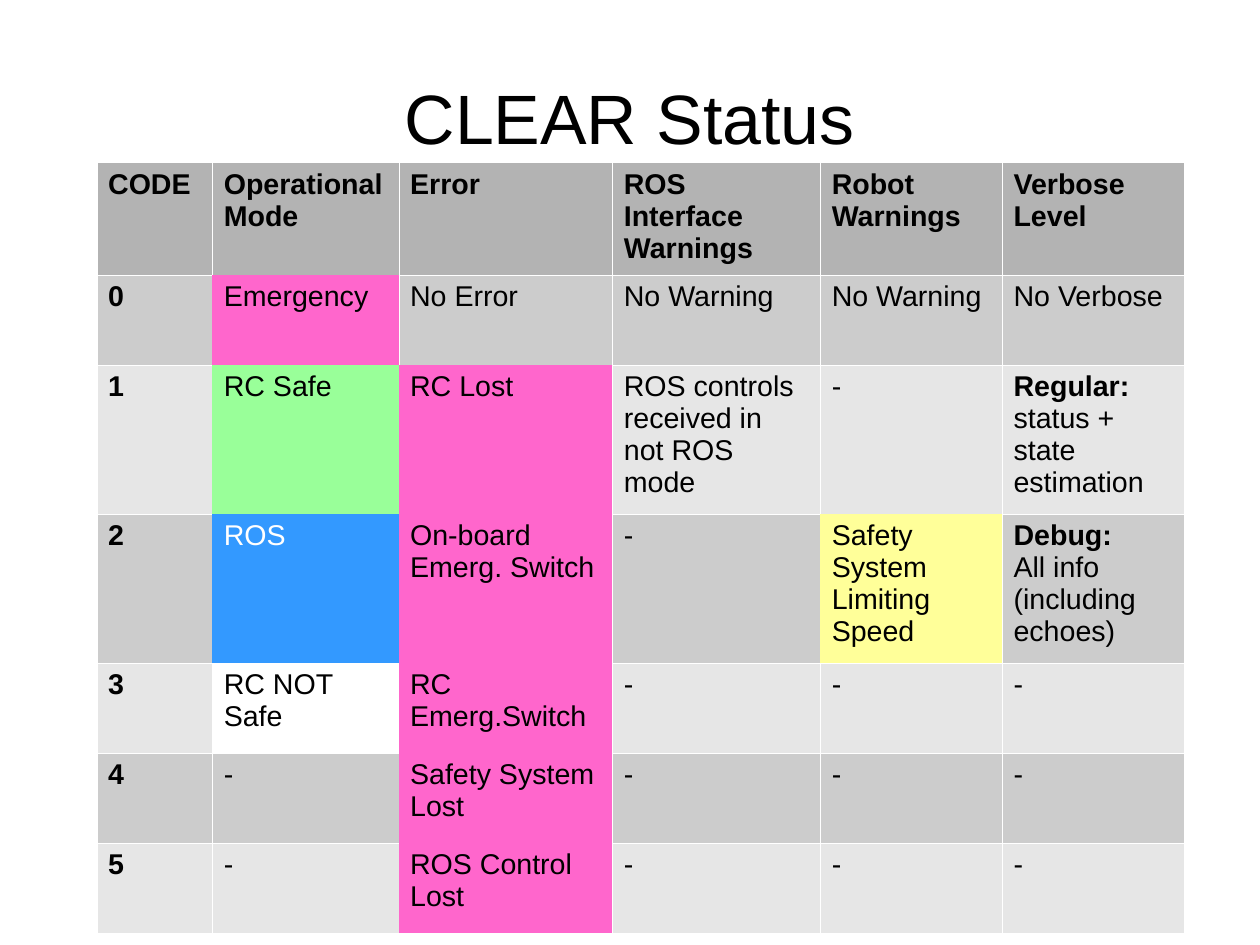
"""Build the CLEAR Status slide with its table of status codes."""
from dataclasses import dataclass
from typing import Optional

from lxml.etree import SubElement
from pptx import Presentation
from pptx.dml.color import RGBColor as Rgb
from pptx.enum.text import MSO_ANCHOR as Anchor, MSO_AUTO_SIZE as AutoSize, PP_ALIGN as Align
from pptx.oxml.ns import qn
from pptx.util import Cm, Pt


@dataclass(frozen=True)
class Theme:
    font: str = "Arial"
    title_size: int = 44
    table_size: int = 18
    ink: str = "000000"
    white: str = "FFFFFF"
    header: str = "B3B3B3"
    bands: tuple[str, str] = ("E6E6E6", "CCCCCC")
    alarm: str = "FF66CC"
    safe: str = "99FF99"
    ros: str = "3399FF"
    caution: str = "FFFF99"
    border_width: float = 0.06


@dataclass(frozen=True)
class Span:
    text: str
    bold: bool = False


@dataclass(frozen=True)
class Entry:
    paragraphs: tuple[tuple[Span, ...], ...]
    tint: Optional[str] = None
    ink: str = Theme.ink


def entry(text: str, tint: Optional[str] = None, ink: str = Theme.ink, bold: bool = False) -> Entry:
    return Entry(((Span(text, bold),),), tint, ink)


THEME = Theme()
NONE = entry("-")
HEADINGS = ("CODE", "Operational Mode", "Error", "ROS Interface Warnings", "Robot Warnings", "Verbose Level")
REGULAR = Entry(((Span("Regular:", True), Span(" status + state estimation")),))
DEBUG = Entry(((Span("Debug:", True),), (Span("All info (including echoes)"),)))
STATUSES = (
    (entry("Emergency", THEME.alarm), entry("No Error"), entry("No Warning"),
     entry("No Warning"), entry("No Verbose")),
    (entry("RC Safe", THEME.safe), entry("RC Lost", THEME.alarm),
     entry("ROS controls received in not ROS mode"), NONE, REGULAR),
    (entry("ROS", THEME.ros, THEME.white), entry("On-board Emerg. Switch", THEME.alarm), NONE,
     entry("Safety System Limiting Speed", THEME.caution), DEBUG),
    (entry("RC NOT Safe", THEME.white), entry("RC Emerg.Switch", THEME.alarm), NONE, NONE, NONE),
    (NONE, entry("Safety System Lost", THEME.alarm), NONE, NONE, NONE),
    (NONE, entry("ROS Control Lost", THEME.alarm), NONE, NONE, NONE),
)
COLUMN_WIDTHS = (2.57, 4.14, 4.75, 4.62, 4.04, 4.04)
ROW_HEIGHTS = (2.51, 2, 3.31, 3.31, 2, 2, 2)


def add_run(paragraph, span: Span, size: int, ink: str) -> None:
    run = paragraph.add_run()
    run.text = span.text
    run.font.name = THEME.font
    run.font.size = Pt(size)
    run.font.bold = span.bold
    run.font.color.rgb = Rgb.from_string(ink)


def set_borders(cell, visible: bool) -> None:
    properties = cell._tc.get_or_add_tcPr()
    for side in ("lnL", "lnR", "lnT", "lnB"):
        line = SubElement(properties, qn(f"a:{side}"), w=str(Pt(THEME.border_width)))
        if visible:
            SubElement(SubElement(line, qn("a:solidFill")), qn("a:srgbClr"), val=THEME.white)
        else:
            SubElement(line, qn("a:noFill"))


def fill_cell(cell, content: Entry, background: str) -> None:
    set_borders(cell, visible=content.tint is None)
    cell.fill.solid()
    cell.fill.fore_color.rgb = Rgb.from_string(content.tint or background)
    frame = cell.text_frame
    for number, spans in enumerate(content.paragraphs):
        paragraph = frame.add_paragraph() if number else frame.paragraphs[0]
        for span in spans:
            add_run(paragraph, span, THEME.table_size, content.ink)


def add_title(slide, text: str) -> None:
    title = slide.shapes.title
    title.left, title.top, title.width, title.height = Cm(1.4), Cm(0.84), Cm(25.2), Cm(3.5)
    frame = title.text_frame
    frame.margin_left = frame.margin_right = frame.margin_top = frame.margin_bottom = 0
    frame.vertical_anchor = Anchor.MIDDLE
    frame.auto_size = AutoSize.NONE
    frame.paragraphs[0].alignment = Align.CENTER
    add_run(frame.paragraphs[0], Span(text), THEME.title_size, THEME.ink)


def add_status_table(slide) -> None:
    header = tuple(entry(heading, bold=True) for heading in HEADINGS)
    codes = tuple((entry(str(code), bold=True), *status) for code, status in enumerate(STATUSES))
    rows = (header, *codes)
    table = slide.shapes.add_table(len(rows), len(HEADINGS), Cm(2.15), Cm(3.61),
                                   Cm(sum(COLUMN_WIDTHS)), Cm(sum(ROW_HEIGHTS))).table
    table.first_row = table.horz_banding = False
    for column, width in zip(table.columns, COLUMN_WIDTHS):
        column.width = Cm(width)
    for row_number, (row, height) in enumerate(zip(rows, ROW_HEIGHTS)):
        table.rows[row_number].height = Cm(height)
        background = THEME.bands[row_number % 2] if row_number else THEME.header
        for column_number, content in enumerate(row):
            fill_cell(table.cell(row_number, column_number), content, background)


def main() -> None:
    deck = Presentation()
    deck.slide_width, deck.slide_height = Cm(28), Cm(21)
    slide = deck.slides.add_slide(deck.slide_layouts[5])
    add_title(slide, "CLEAR Status")
    add_status_table(slide)
    deck.save("out.pptx")


if __name__ == "__main__":
    main()
